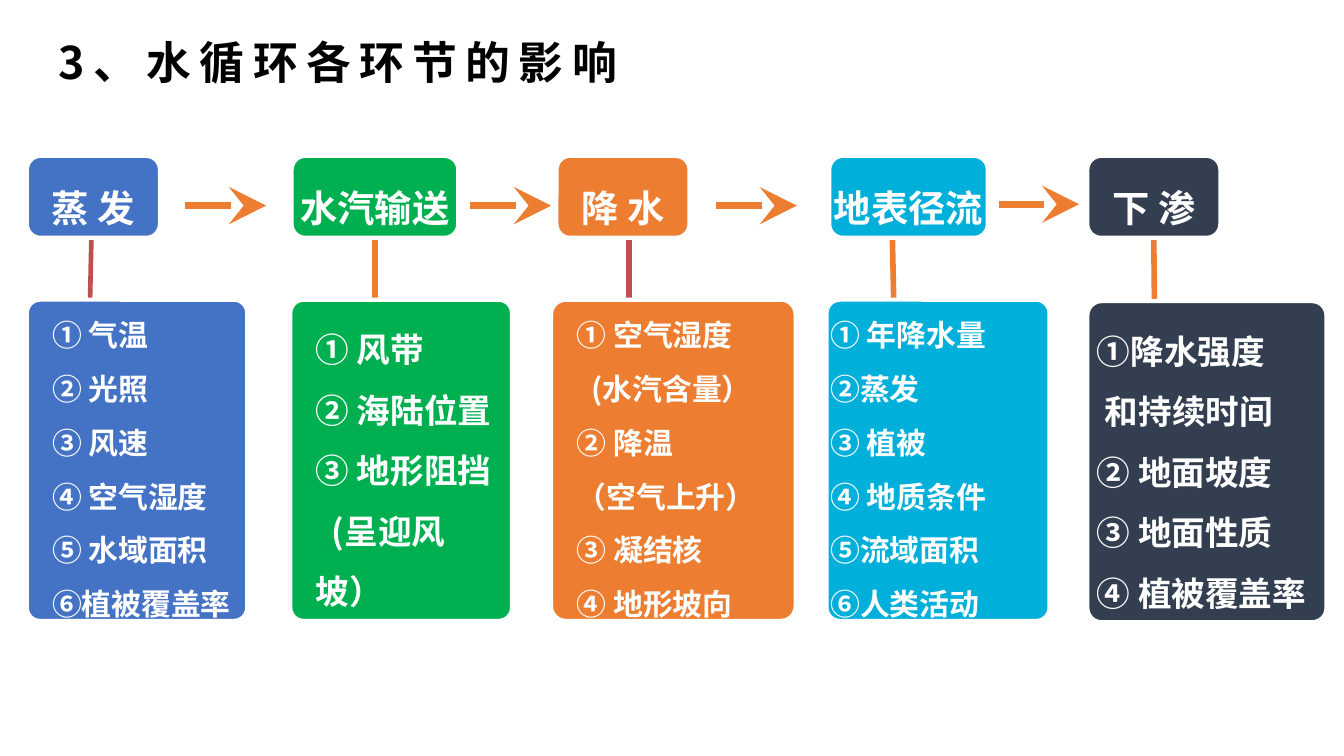
from dataclasses import dataclass
from lxml import etree
from pptx import Presentation
from pptx import util as u
from pptx.dml import color
from pptx.enum import shapes, text
from pptx.oxml import ns


@dataclass(frozen=True)
class Theme:
    """Colours, font and type sizes of the deck."""
    font: str = "Noto Sans CJK SC"
    white: str = "FFFFFF"
    black: str = "000000"
    blue: str = "4472C4"
    green: str = "00B050"
    orange: str = "ED7D31"
    cyan: str = "01AFDB"
    navy: str = "333F50"
    red: str = "C0504D"
    title: int = 24
    head: int = 20
    large: int = 18
    small: int = 16
    edge: float = 2.25
    arrow: float = 4


def px(n):
    """Turn px, a hundred to the inch, into EMU."""
    return u.Emu(n * 9144)


def rgb(code):
    """Turn a hex code into a colour."""
    return color.RGBColor.from_string(code)


class Board:
    """Holds the theme and the current slide and draws on it."""

    def __init__(self, deck, theme):
        """Add a blank slide with a white ground."""
        self.theme = theme
        self.slide = deck.slides.add_slide(deck.slide_layouts[6])
        fill = self.slide.background.fill
        fill.solid()
        fill.fore_color.rgb = rgb(theme.white)

    def run(self, para, words, size, ink, gap=None):
        """Add one bold run."""
        run = para.add_run()
        run.text = words
        font = run.font
        font.name, font.size, font.bold = self.theme.font, u.Pt(size), True
        font.color.rgb = rgb(ink)
        props = run._r.get_or_add_rPr()
        etree.SubElement(props, ns.qn("a:ea")).set("typeface", self.theme.font)
        if gap:
            props.set("spc", str(gap))

    def title(self, words, x, y, w, h):
        """Add the spaced slide title."""
        frame = self.slide.shapes.add_textbox(px(x), px(y), px(w), px(h)).text_frame
        frame.word_wrap = False
        frame.auto_size = text.MSO_AUTO_SIZE.SHAPE_TO_FIT_TEXT
        para = frame.paragraphs[0]
        para.alignment = text.PP_ALIGN.CENTER
        self.run(para, words, self.theme.title, self.theme.black, 450)

    def card(self, x, y, w, h, ink, lines, size, pad, inset, turn, align):
        """Add a rounded card with (words, indent) lines."""
        kind = shapes.MSO_SHAPE.ROUNDED_RECTANGLE
        card = self.slide.shapes.add_shape(kind, px(x), px(y), px(w), px(h))
        card.shadow.inherit = False
        card.adjustments[0] = turn
        card.fill.solid()
        card.fill.fore_color.rgb = rgb(ink)
        card.line.color.rgb = rgb(self.theme.white)
        card.line.width = u.Pt(self.theme.edge)
        frame = card.text_frame
        frame.word_wrap = True
        frame.vertical_anchor = text.MSO_ANCHOR.MIDDLE
        frame.margin_left, frame.margin_right = px(pad), px(0)
        frame.margin_top = frame.margin_bottom = px(inset)
        for i, (words, indent) in enumerate(lines):
            para = frame.add_paragraph() if i else frame.paragraphs[0]
            para.alignment = align
            para.line_spacing = 1.5
            if indent:
                para._p.get_or_add_pPr().set("indent", str(px(indent)))
            self.run(para, words, size, self.theme.white)
        return card

    def head(self, x, w, ink, words):
        """Add the heading card of a stage."""
        return self.card(x, 116, w, 61, ink, [(words, 0)], self.theme.head,
                         0, 4, 0.167, text.PP_ALIGN.CENTER)

    def body(self, x, y, w, ink, lines, size, pad):
        """Add the factor card of a stage."""
        return self.card(x, y, w, 239, ink, lines, size,
                         pad, 5, 0.06, text.PP_ALIGN.LEFT)

    def line(self, x, y, to, end, ink, width):
        """Add a straight connector."""
        line = self.slide.shapes.add_connector(
            shapes.MSO_CONNECTOR.STRAIGHT, px(x), px(y), px(to), px(end))
        line.line.color.rgb = rgb(ink)
        line.line.width = u.Pt(width)
        etree.SubElement(line._element.spPr, ns.qn("a:effectLst"))
        return line

    def arrow(self, x, y):
        """Add a flow arrow to the next stage."""
        line = self.line(x, y, x + 60, y, self.theme.orange, self.theme.arrow)
        tip = etree.SubElement(line.line._get_or_add_ln(), ns.qn("a:tailEnd"))
        for key, value in [("type", "stealth"), ("w", "lg"), ("len", "lg")]:
            tip.set(key, value)


def main():
    """Build the water cycle slide."""
    deck = Presentation()
    deck.slide_width = px(1000)
    deck.slide_height = px(1000) * 9 // 16
    t = Theme()
    board = Board(deck, t)
    stages = [
        (t.blue, (20, 99, "蒸 发"), (68, 178, 67, 225, t.red, 2.5), False,
         (20, 223, 164), t.small, 16,
         [("① 气温", 0), ("② 光照", 0), ("③ 风速", 0),
          ("④ 空气湿度", 0), ("⑤ 水域面积", 0), ("⑥植被覆盖率", 0)]),
        (t.green, (217, 124, "水汽输送"), (279, 177, 279, 225, t.orange, 2.75), True,
         (216, 223, 165), t.large, 16,
         [("① 风带", 0), ("② 海陆位置", 0), ("③ 地形阻挡", 0), ("(呈迎风坡）", 12)]),
        (t.orange, (414, 99, "降 水"), (468, 178, 468, 225, t.red, 3), False,
         (410, 223, 182), t.small, 16,
         [("① 空气湿度", 0), ("(水汽含量）", 11), ("② 降温", 0),
          ("（空气上升）", 0), ("③ 凝结核", 0), ("④ 地形坡向", 0)]),
        (t.cyan, (617, 118, "地表径流"), (664, 177, 665, 225, t.orange, 3), False,
         (615, 223, 166), t.small, 0,
         [("① 年降水量", 0), ("②蒸发", 0), ("③ 植被", 0),
          ("④ 地质条件", 0), ("⑤流域面积", 0), ("⑥人类活动", 0)]),
        (t.navy, (809, 99, "下 渗"), (858, 177, 859, 226, t.orange, 3), True,
         (809, 224, 178), t.large, 4,
         [("①降水强度", 0), ("和持续时间", 6), ("② 地面坡度", 0),
          ("③ 地面性质", 0), ("④ 植被覆盖率", 0)]),
    ]
    for ink, (x, w, name), stem, joined, place, size, pad, lines in stages:
        link = board.line(*stem)
        board.body(*place, ink, lines, size, pad)
        head = board.head(x, w, ink, name)
        if joined:
            link.begin_connect(head, 2)
    for x, y in [(138, 153), (350, 153), (533, 153), (743, 152)]:
        board.arrow(x, y)
    board.title("3、水循环各环节的影响", 28, 21, 447, 50)
    deck.save("out.pptx")


if __name__ == "__main__":
    main()
